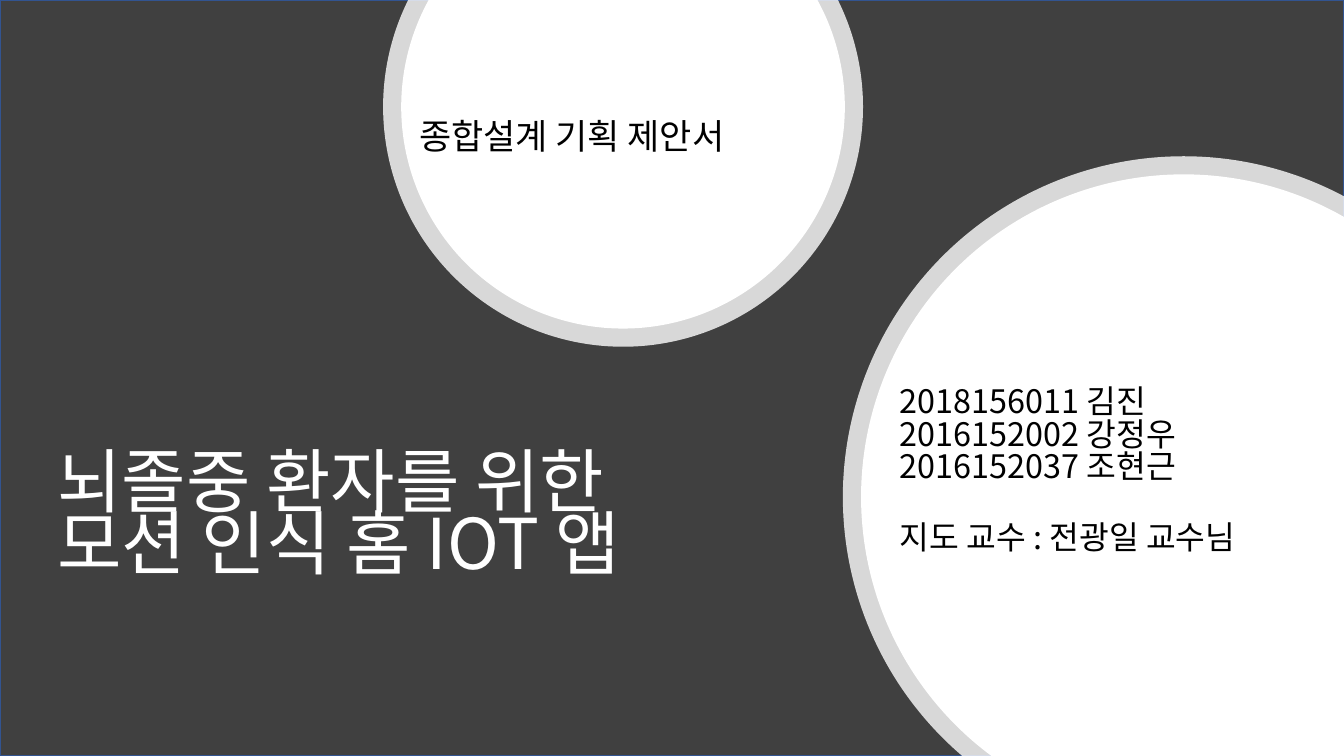
import math
from dataclasses import dataclass

import pptx
import pptx.dml.color
import pptx.enum.shapes
import pptx.enum.text
import pptx.oxml
import pptx.oxml.ns
import pptx.util
from pptx.util import Inches

WIDTH, HEIGHT = 13.33, 7.5
RING_WIDTH = 0.18
FONT = "Noto Sans CJK KR"
BLACK = pptx.dml.color.RGBColor(0x00, 0x00, 0x00)
WHITE = pptx.dml.color.RGBColor(0xFF, 0xFF, 0xFF)
CHARCOAL = pptx.dml.color.RGBColor(0x40, 0x40, 0x40)
BLUE = pptx.dml.color.RGBColor(0x32, 0x54, 0x91)


@dataclass(frozen=True)
class Circle:
    x: float
    y: float
    radius: float

    def crosses_right(self) -> bool:
        return self.x + self.radius > WIDTH

    def visible_arc(self, radius: float) -> tuple[float, float]:
        """Clockwise start and end angles of the arc inside the slide."""
        if self.crosses_right():
            start = 180 - math.degrees(math.asin((HEIGHT - self.y) / radius))
            return start, 360 - math.degrees(math.acos((WIDTH - self.x) / radius))
        cut = math.degrees(math.asin(self.y / radius))
        return -cut, 180 + cut


CIRCLES = [Circle(6.18, 1.06, 2.38), Circle(11.74, 4.93, 3.38)]


def make_element(tag: str, **attributes: object):
    element = pptx.oxml.parse_xml(f"<a:{tag} {pptx.oxml.ns.nsdecls('a')}/>")
    for name, value in attributes.items():
        element.set(name, str(value))
    return element


def add_disc(page, circle: Circle, radius: float, opacity: int = 100) -> None:
    """Circle cut off at the slide edges, with a true arc as its outline."""
    start, end = circle.visible_arc(radius)
    extremes = [angle for angle in range(0, 360, 90) if start < angle < end]
    points = [(Inches(circle.x + radius * math.cos(math.radians(angle))),
               Inches(circle.y + radius * math.sin(math.radians(angle))))
              for angle in (start, *extremes, end)]
    corners = [(Inches(WIDTH), Inches(HEIGHT))] if circle.crosses_right() else []
    builder = page.shapes.build_freeform(*points[0])
    builder.add_line_segments(points[1:] + corners, close=True)
    disc = builder.convert_to_shape()

    # The segments between the arc's ends become one arc
    outline = disc._element.find(".//" + pptx.oxml.ns.qn("a:path"))
    for segment in list(outline)[1:len(points)]:
        outline.remove(segment)
    outline.insert(1, make_element(
        "arcTo", wR=Inches(radius), hR=Inches(radius),
        stAng=round(start % 360 * 60000), swAng=round((end - start) * 60000)))

    disc.shadow.inherit = False
    disc.fill.solid()
    disc.fill.fore_color.rgb = WHITE
    disc.line.fill.background()
    if opacity < 100:
        color = disc._element.spPr.find(".//" + pptx.oxml.ns.qn("a:srgbClr"))
        color.append(make_element("alpha", val=opacity * 1000))


def add_text(page, text: str, *, at: tuple[float, float, float, float],
             size: float, color: pptx.dml.color.RGBColor, spacing: float,
             left_inset: float = 0.1, bottom_inset: float = 0.05,
             last_gap: float = 0) -> None:
    """Text box; a newline starts a paragraph, a vertical tab a line."""
    box = page.shapes.add_textbox(*map(Inches, at))
    frame = box.text_frame
    frame.word_wrap = True
    frame.vertical_anchor = pptx.enum.text.MSO_ANCHOR.MIDDLE
    frame.margin_left = Inches(left_inset)
    frame.margin_bottom = Inches(bottom_inset)
    frame.text = text
    for para in frame.paragraphs:
        para.line_spacing = spacing
        for span in para.runs:
            span.font.name = FONT
            span.font.size = pptx.util.Pt(size)
            span.font.color.rgb = color
            latin = span._r.find(".//" + pptx.oxml.ns.qn("a:latin"))
            latin.addnext(make_element("ea", typeface=FONT))
    if last_gap:
        frame.paragraphs[-1].space_before = pptx.util.Pt(last_gap)


def main() -> None:
    deck = pptx.Presentation()
    deck.slide_width, deck.slide_height = Inches(WIDTH), Inches(HEIGHT)
    page = deck.slides.add_slide(deck.slide_layouts[6])

    # Dark backdrop
    backdrop = page.shapes.add_shape(
        pptx.enum.shapes.MSO_SHAPE.RECTANGLE, 0, 0, deck.slide_width, deck.slide_height)
    backdrop.shadow.inherit = False
    backdrop.fill.solid()
    backdrop.fill.fore_color.rgb = CHARCOAL
    backdrop.line.color.rgb = BLUE
    backdrop.line.width = pptx.util.Pt(1)

    # Circles: a translucent rim under a white disc
    for circle in CIRCLES:
        add_disc(page, circle, circle.radius, opacity=80)
        add_disc(page, circle, circle.radius - RING_WIDTH)

    # Title, subtitle and team
    add_text(page, "뇌졸중 환자를 위한\v모션 인식 홈 IOT 앱",
             at=(0.47, 3.83, 6.99, 2.65), size=50, color=WHITE, spacing=0.74)
    add_text(page, "종합설계 기획 제안서",
             at=(4.06, 0.39, 4.31, 1.96), size=25, color=BLACK, spacing=0.9)
    add_text(page, "2018156011 김진\n2016152002 강정우\n2016152037 조현근\n"
             "지도 교수 : 전광일 교수님",
             at=(8.74, 3.44, 4.47, 3.04), size=23.1, color=BLACK, spacing=0.83,
             left_inset=0.18, bottom_inset=0.6, last_gap=28)

    deck.save("out.pptx")


if __name__ == "__main__":
    main()
